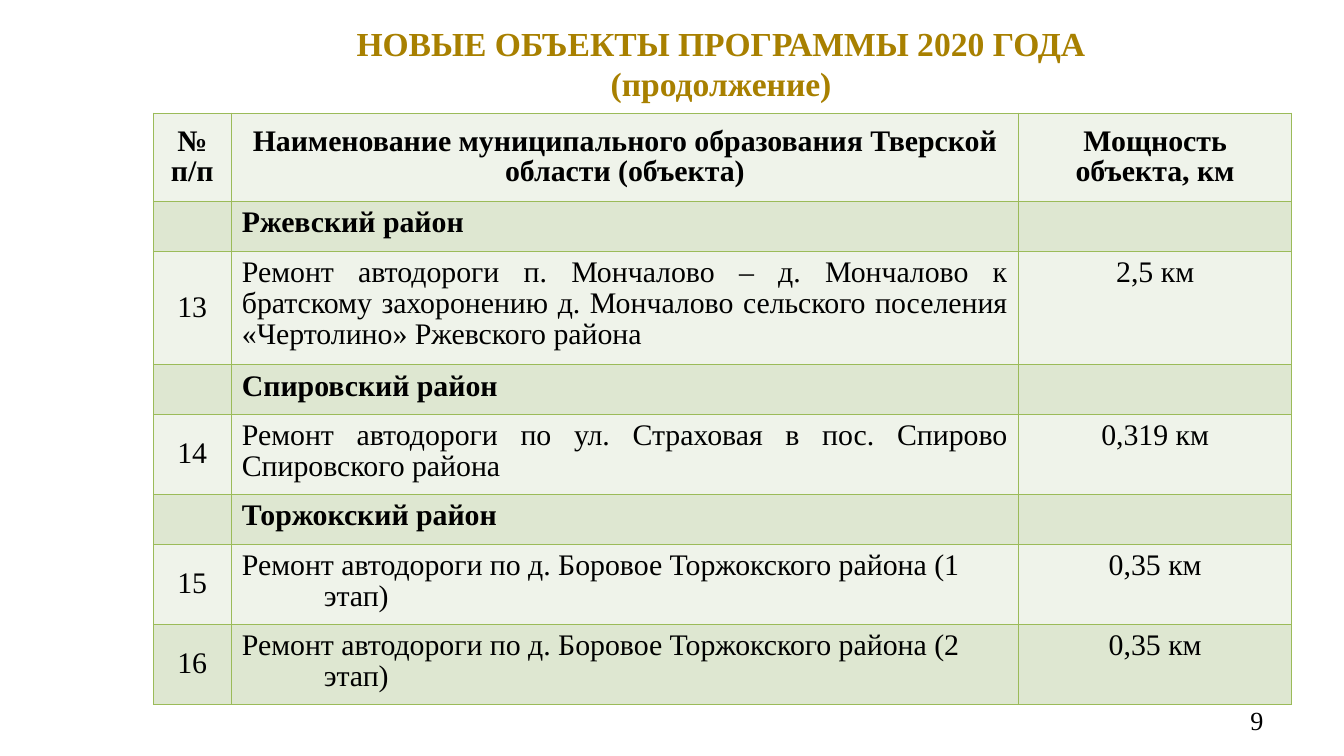
from pptx import Presentation
from pptx.dml.color import RGBColor
from pptx.enum.text import MSO_ANCHOR, PP_ALIGN
from pptx.oxml.xmlchemy import OxmlElement
from pptx.util import Inches, Pt

FONT = "Times New Roman"
BLACK = RGBColor(0x00, 0x00, 0x00)
GOLD = RGBColor(0xA8, 0x80, 0x00)
LIGHT = RGBColor(0xEF, 0xF3, 0xEA)
GREEN = RGBColor(0xDE, 0xE7, 0xD1)
BORDER = RGBColor(0x9B, 0xBB, 0x59)


def format_text(frame, size, color, bold, align, spacing=1.0):
    for para in frame.paragraphs:
        para.alignment = align
        para.line_spacing = spacing
        for span in para.runs:
            span.font.name = FONT
            span.font.size = Pt(size)
            span.font.bold = bold
            span.font.color.rgb = color


def add_borders(cell):
    properties = cell._tc.get_or_add_tcPr()
    for position, side in enumerate(("a:lnL", "a:lnR", "a:lnT", "a:lnB")):
        line = OxmlElement(side)
        line.set("w", str(Pt(0.45)))
        fill = OxmlElement("a:solidFill")
        color = OxmlElement("a:srgbClr")
        color.set("val", str(BORDER))
        fill.append(color)
        line.append(fill)
        properties.insert(position, line)


deck = Presentation()
deck.slide_width = Inches(10)
deck.slide_height = Inches(10) * 9 // 16
page = deck.slides.add_slide(deck.slide_layouts[5])

# Page number
number = page.shapes.add_textbox(Inches(7.17), Inches(5.21), Inches(2.33), Inches(0.3))
number.text_frame.word_wrap = True
number.text_frame.vertical_anchor = MSO_ANCHOR.MIDDLE
number.text_frame.text = "9"
format_text(number.text_frame, 14, BLACK, False, PP_ALIGN.RIGHT)

# Title
title = page.shapes.title
title.left, title.top = Inches(1.09), Inches(0)
title.width, title.height = Inches(8.55), Inches(0.94)
title.text_frame.vertical_anchor = MSO_ANCHOR.MIDDLE
title.text_frame.text = "НОВЫЕ ОБЪЕКТЫ ПРОГРАММЫ 2020 ГОДА\n(продолжение)"
format_text(title.text_frame, 18, GOLD, True, PP_ALIGN.CENTER)

# Table content: number, object, length; district rows have only a name
rows = [
    ("№ п/п", "Наименование муниципального образования Тверской области (объекта)",
     "Мощность объекта, км"),
    ("", "Ржевский район", ""),
    ("13", "Ремонт автодороги п. Мончалово – д. Мончалово к братскому захоронению "
     "д. Мончалово сельского поселения «Чертолино» Ржевского района", "2,5 км"),
    ("", "Спировский район", ""),
    ("14", "Ремонт автодороги по ул. Страховая в пос. Спирово Спировского района",
     "0,319 км"),
    ("", "Торжокский район", ""),
    ("15", "Ремонт автодороги по д. Боровое Торжокского района (1 этап)", "0,35 км"),
    ("16", "Ремонт автодороги по д. Боровое Торжокского района (2 этап)", "0,35 км"),
]
column_widths = [0.58, 5.86, 2.03]
row_heights = [0.66, 0.37, 0.8, 0.37, 0.53, 0.37, 0.54, 0.53]

# Table
table = page.shapes.add_table(len(rows), 3, Inches(1.14), Inches(0.84),
                              Inches(8.47), Inches(4.17)).table
for column, width in zip(table.columns, column_widths):
    column.width = Inches(width)
for row, height in zip(table.rows, row_heights):
    row.height = Inches(height)

for r, texts in enumerate(rows):
    header = r == 0
    district = not texts[0]
    last = r == len(rows) - 1
    for c, text in enumerate(texts):
        cell = table.cell(r, c)
        cell.fill.solid()
        cell.fill.fore_color.rgb = GREEN if district or last else LIGHT
        add_borders(cell)
        if not text:
            cell.margin_top = cell.margin_bottom = 0
            continue
        cell.margin_left = cell.margin_right = Inches(0.1 if c == 0 else 0.08)
        cell.vertical_anchor = MSO_ANCHOR.MIDDLE if header or c == 0 else MSO_ANCHOR.TOP
        cell.text_frame.text = text
        staged = text.endswith("этап)")
        if staged:
            align = PP_ALIGN.LEFT
        elif c == 1 and not header:
            align = PP_ALIGN.JUSTIFY
        else:
            align = PP_ALIGN.CENTER
        format_text(cell.text_frame, 16, BLACK, header or district, align, 0.93)
        # The stage wraps to an indented second line
        if staged:
            properties = cell.text_frame.paragraphs[0]._p.get_or_add_pPr()
            properties.set("marL", str(Inches(0.61)))
            properties.set("indent", str(-Inches(0.61)))

deck.save("out.pptx")
